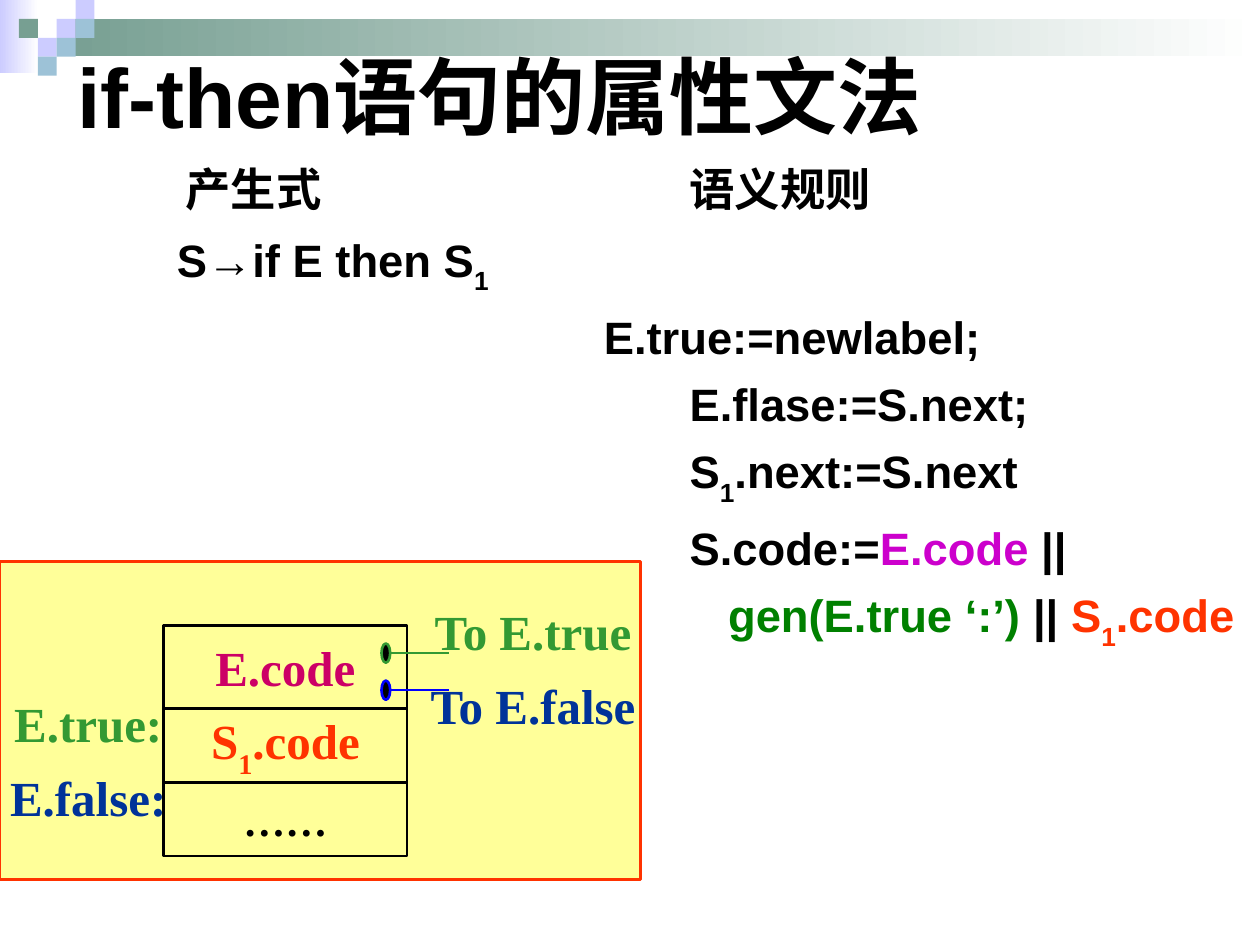
import pptx
import pptx.dml.color
import pptx.enum.shapes
import pptx.enum.text
import pptx.util
import lxml.etree

Pt = pptx.util.Pt
RGBColor = pptx.dml.color.RGBColor
Shape = pptx.enum.shapes.MSO_SHAPE
Align = pptx.enum.text.PP_ALIGN
Anchor = pptx.enum.text.MSO_ANCHOR

BLACK = RGBColor(0x00, 0x00, 0x00)
WHITE = RGBColor(0xFF, 0xFF, 0xFF)
LAVENDER = RGBColor(0xCC, 0xCC, 0xFF)
SAGE = RGBColor(0x77, 0x9F, 0x92)
SKY = RGBColor(0x9D, 0xC2, 0xD7)
YELLOW = RGBColor(0xFF, 0xFF, 0x99)
RED = RGBColor(0xFF, 0x33, 0x00)
PURPLE = RGBColor(0xCC, 0x00, 0xCC)
PINK = RGBColor(0xCC, 0x00, 0x66)
CODE_GREEN = RGBColor(0x00, 0x80, 0x00)
GREEN = RGBColor(0x33, 0x99, 0x33)
NAVY = RGBColor(0x00, 0x33, 0x99)
BLUE = RGBColor(0x00, 0x00, 0xFF)

DRAWING = "{http://schemas.openxmlformats.org/drawingml/2006/main}"
SUBSCRIPT = True


class SlideBuilder:
    """Holds the text styles and the current slide."""

    heading = {"name": "Arial", "size": Pt(48), "bold": True}
    body = {"name": "Arial", "size": Pt(25.9), "bold": True}
    diagram = {"name": "Times New Roman", "size": Pt(28), "bold": True}
    line_width = Pt(1.5)

    def __init__(self, slide):
        self.slide = slide

    def runs(self, paragraph, parts, style):
        """Each part is (text, colour) or (text, colour, SUBSCRIPT)."""
        for text, color, *subscript in parts:
            run = paragraph.add_run()
            run.text = text
            for name, value in style.items():
                setattr(run.font, name, value)
            run.font.color.rgb = color
            if subscript:
                run.font._element.set("baseline", "-30000")

    def frame(self, shape, **settings):
        for name, value in settings.items():
            setattr(shape.text_frame, name, value)
        return shape.text_frame

    def title(self, box, text):
        shape = self.slide.shapes.title
        for name, value in zip(("left", "top", "width", "height"), box):
            setattr(shape, name, Pt(value))
        frame = self.frame(shape, word_wrap=True,
                           vertical_anchor=Anchor.MIDDLE)
        frame.paragraphs[0].alignment = Align.LEFT
        self.runs(frame.paragraphs[0], [(text, BLACK)], self.heading)

    def shape(self, kind, box, fill=None, line=None):
        shape = self.slide.shapes.add_shape(kind, *map(Pt, box))
        shape.shadow.inherit = False
        if fill is None:
            shape.fill.background()
        else:
            shape.fill.solid()
            shape.fill.fore_color.rgb = fill
        if line is None:
            shape.line.fill.background()
        else:
            shape.line.color.rgb = line
            shape.line.width = self.line_width
        return shape

    def fade(self, box, color):
        shape = self.shape(Shape.RECTANGLE, box)
        shape.fill.gradient()
        shape.fill.gradient_angle = 0
        for stop, stop_color in zip(shape.fill.gradient_stops, (color, WHITE)):
            stop.color.rgb = stop_color

    def centred(self, shape, parts, style):
        frame = self.frame(shape, word_wrap=True, margin_left=0,
                           margin_right=0, vertical_anchor=Anchor.MIDDLE)
        frame.paragraphs[0].alignment = Align.CENTER
        self.runs(frame.paragraphs[0], parts, style)

    def cell(self, box, parts, style):
        shape = self.shape(Shape.RECTANGLE, box, line=BLACK)
        self.centred(shape, parts, style)

    def label(self, box, text, color):
        shape = self.slide.shapes.add_textbox(*map(Pt, box))
        self.centred(shape, [(text, color)], self.diagram)

    def rules(self, box, rows):
        """Each row is (left indent, parts)."""
        shape = self.slide.shapes.add_textbox(*map(Pt, box))
        frame = self.frame(shape, word_wrap=True, vertical_anchor=Anchor.TOP)
        for index, (indent, parts) in enumerate(rows):
            paragraph = frame.add_paragraph() if index else frame.paragraphs[0]
            paragraph._p.get_or_add_pPr().set("marL", str(Pt(indent)))
            if index:
                paragraph.space_before = Pt(7.3)
            self.runs(paragraph, parts, self.body)

    def exit_line(self, y, color):
        """A line leaving the code block from a round dot."""
        connector = self.slide.shapes.add_connector(
            pptx.enum.shapes.MSO_CONNECTOR.STRAIGHT,
            Pt(223), Pt(y), Pt(256.5), Pt(y))
        connector.line.color.rgb = color
        connector.line.width = self.line_width
        lxml.etree.SubElement(connector._element.spPr, DRAWING + "effectLst")
        self.shape(Shape.OVAL, (218, y - 5.5, 5, 11), BLACK, color)


def main():
    presentation = pptx.Presentation()
    presentation.slide_width = Pt(720)
    presentation.slide_height = Pt(540)
    layout = presentation.slide_layouts.get_by_name("Title Only")
    builder = SlideBuilder(presentation.slides.add_slide(layout))

    # Top band with its mosaic of squares
    builder.fade((0, 0, 22, 42), LAVENDER)
    builder.fade((32.4, 10.8, 687.6, 21.4), SAGE)
    square = 10.8
    mosaic = [(3, 1, LAVENDER), (4, 0, LAVENDER), (4, 1, SKY),
              (2, 2, LAVENDER), (1, 1, SAGE), (3, 2, SKY), (2, 3, SKY)]
    for column, row, color in mosaic:
        builder.shape(Shape.RECTANGLE,
                      (column * square, row * square, square, square), color)

    # Title
    builder.title((37, 0, 648, 108), "if-then语句的属性文法")

    # Column headings
    left, semantic = 72, 315
    for indent, text in ((27, "产生式"), (semantic, "语义规则")):
        builder.rules((left + indent, 88.8, 144, 38), [(0, [(text, BLACK)])])

    # Production and semantic rules
    builder.rules((left, 129, 648, 266), [
        (22, [("S→if E then S", BLACK), ("1", BLACK, SUBSCRIPT)]),
        (266, [("E.true:=newlabel;", BLACK)]),
        (semantic, [("E.flase:=S.next;", BLACK)]),
        (semantic, [("S", BLACK), ("1", BLACK, SUBSCRIPT),
                    (".next:=S.next", BLACK)]),
        (semantic, [("S.code:=", BLACK), ("E.code", PURPLE), (" ||", BLACK)]),
        (337, [("gen(E.true ‘:’)", CODE_GREEN), (" || ", BLACK),
               ("S", RED), ("1", RED, SUBSCRIPT), (".code", RED)]),
    ])

    # Code layout diagram: panel and stacked blocks
    builder.shape(Shape.RECTANGLE, (0, 321, 366, 181.5), YELLOW, RED)
    dots = {**builder.diagram, "size": Pt(24)}
    blocks = [
        (47.2, [("E.code", PINK)], builder.diagram),
        (42.2, [("S", RED), ("1", RED, SUBSCRIPT), (".code", RED)],
         builder.diagram),
        (42.2, [("……", BLACK)], dots),
    ]
    top = 357.6
    for height, parts, style in blocks:
        builder.cell((93.6, top, 139, height), parts, style)
        top += height

    # Exits and entry labels
    exits = [("true", 373.2, GREEN, GREEN), ("false", 394.4, BLUE, NAVY)]
    for index, (name, y, line_color, text_color) in enumerate(exits):
        builder.exit_line(y, line_color)
        offset = index * 42.2
        builder.label((242.6, 342 + offset, 124, 36.7),
                      f"To E.{name}", text_color)
        builder.label((2.4, 394.6 + offset, 96, 36.7),
                      f"E.{name}:", text_color)

    presentation.save("out.pptx")


if __name__ == "__main__":
    main()
